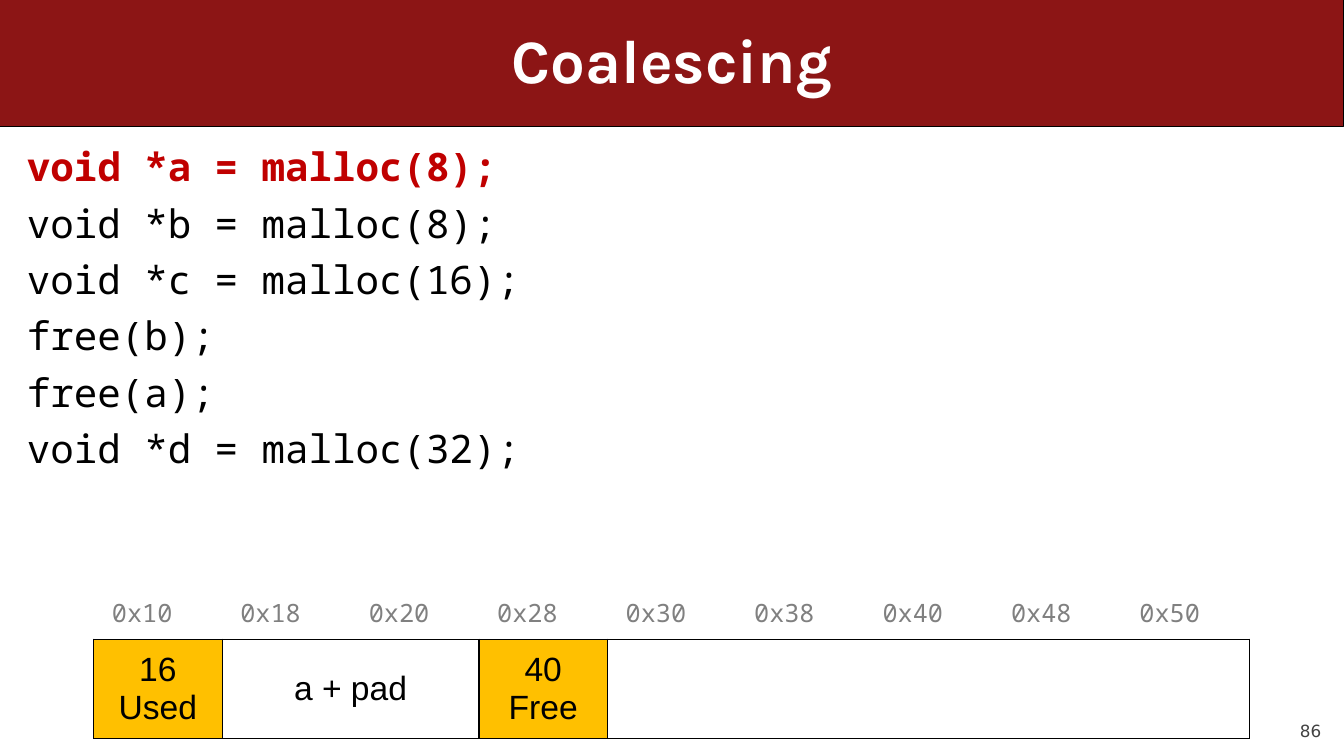
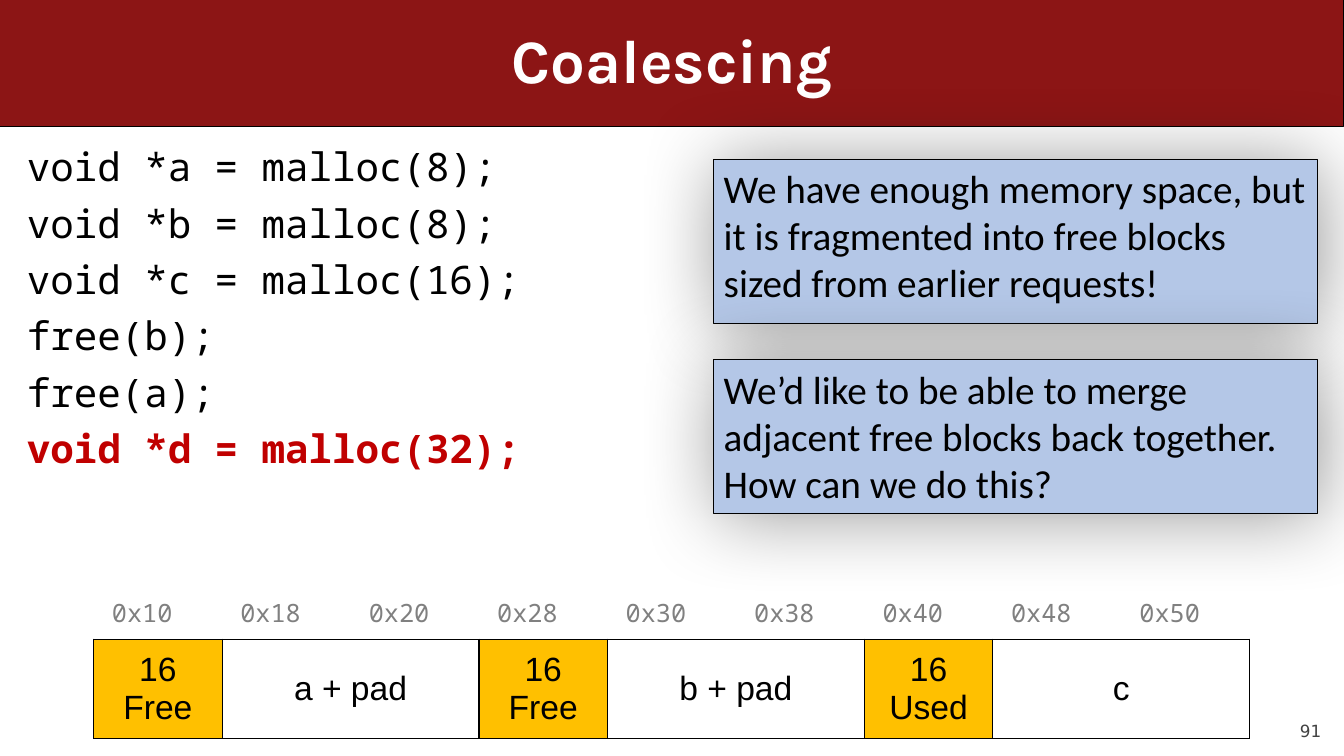
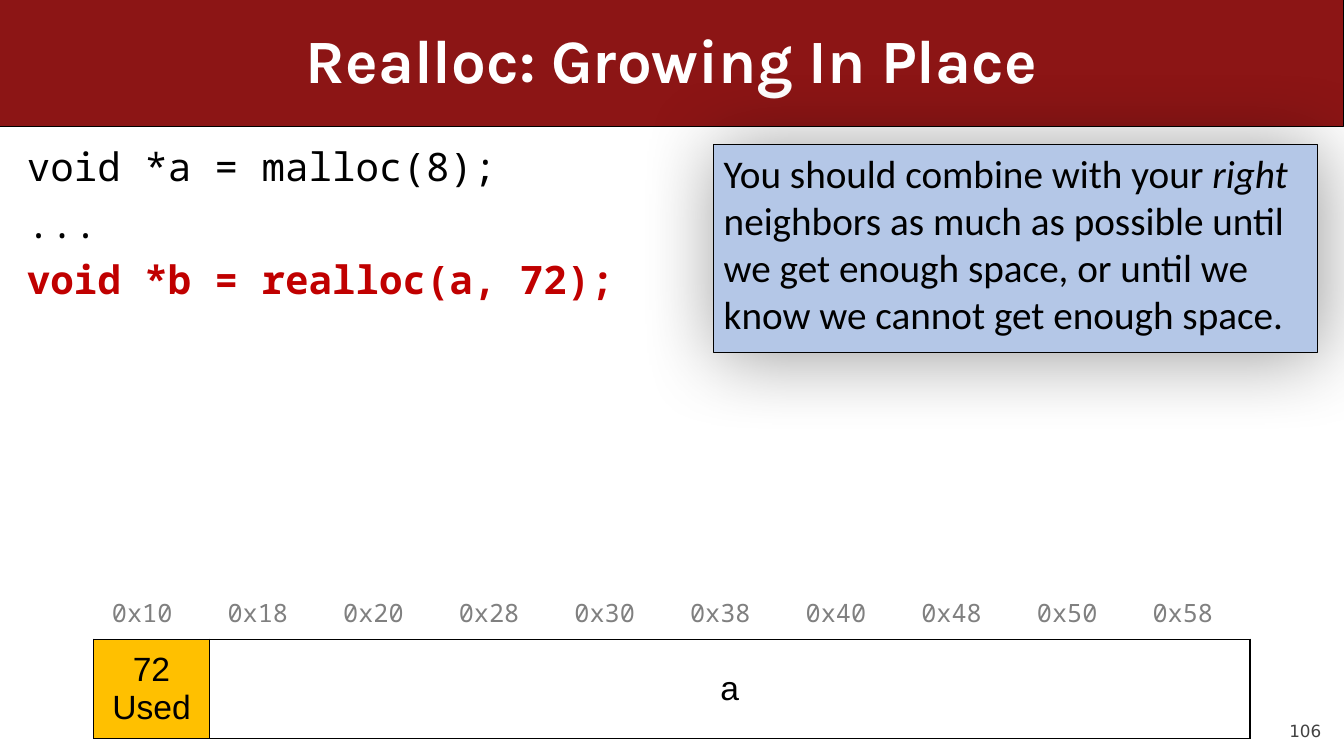
from lxml import etree
from pptx import Presentation
from pptx.dml.color import RGBColor
from pptx.enum.shapes import MSO_SHAPE as Preset
from pptx.enum.text import MSO_ANCHOR as Anchor, PP_ALIGN as Align
from pptx.oxml import parse_xml
from pptx.oxml.ns import nsdecls
from pptx.util import Cm, Pt

COLORS = {
    "band": "8C1515",
    "title": "FFFFFF",
    "ink": "000000",
    "current": "C00000",
    "address": "808080",
    "number": "424242",
    "header": "FFC000",
    "note": "B4C7E7",
}
CODE_FONT = "Noto Sans Mono"
ROW_HEIGHTS = (1.93, 2.36)
HEAP_WIDTH = 29.14


def color(key):
    return RGBColor.from_string(COLORS[key])


def write(frame, lines, font, size, ink, align=Align.LEFT, anchor=Anchor.TOP):
    frame.word_wrap = True
    frame.vertical_anchor = anchor
    for index, line in enumerate(lines):
        paragraph = frame.paragraphs[0] if index == 0 else frame.add_paragraph()
        paragraph.alignment = align
        paragraph.font.name = font
        paragraph.font.size = Pt(size)
        paragraph.font.color.rgb = color(ink)
        for part, words in enumerate(line.split("_")):
            run = paragraph.add_run()
            run.text = words
            if part % 2:
                run.font.italic = True
    return frame.paragraphs


coalescing_code = [
    "void *a = malloc(8);",
    "void *b = malloc(8);",
    "void *c = malloc(16);",
    "free(b);",
    "free(a);",
    "void *d = malloc(32);",
]
lessons = [
    {
        "title": "Coalescing",
        "number": "86",
        "code": coalescing_code,
        "current": 0,
        "words": 9,
        "blocks": [("16 Used", 1), ("a + pad", 2), ("40 Free", 1), ("", 5)],
        "notes": [],
    },
    {
        "title": "Coalescing",
        "number": "91",
        "code": coalescing_code,
        "current": 5,
        "words": 9,
        "blocks": [("16 Free", 1), ("a + pad", 2), ("16 Free", 1),
                   ("b + pad", 2), ("16 Used", 1), ("c", 2)],
        "notes": [
            (4.02, 4.14, ["We have enough memory space, but it is fragmented into "
                          "free blocks sized from earlier requests!"]),
            (9.07, 3.86, ["We’d like to be able to merge adjacent free blocks "
                          "back together.", "How can we do this?"]),
        ],
    },
    {
        "title": "Realloc: Growing In Place",
        "number": "106",
        "code": ["void *a = malloc(8);", "...", "void *b = realloc(a, 72);"],
        "current": 2,
        "words": 10,
        "blocks": [("72 Used", 1), ("a", 9)],
        "notes": [
            (3.63, 5.26, ["You should combine with your _right_ neighbors as much as "
                          "possible until we get enough space, or until we know we "
                          "cannot get enough space."]),
        ],
    },
]

deck = Presentation()
deck.slide_width, deck.slide_height = Cm(33.87), Cm(19.05)

for lesson in lessons:
    slide = deck.slides.add_slide(deck.slide_layouts[6])
    shapes = slide.shapes

    number = shapes.add_textbox(Cm(30.48), Cm(17.65), Cm(2.82), Cm(1.02)).text_frame
    number.margin_left = number.margin_right = number.margin_top = number.margin_bottom = 0
    write(number, [lesson["number"]], "DejaVu Sans", 12, "number", Align.RIGHT, Anchor.BOTTOM)

    band = shapes.add_shape(Preset.ROUNDED_RECTANGLE, 0, 0, deck.slide_width, Cm(3.18))
    band.adjustments[0] = 0
    band.fill.solid()
    band.fill.fore_color.rgb = color("band")
    band.line.color.rgb = color("ink")
    band.line.width = Pt(0.74)
    band.shadow.inherit = False

    title = shapes.add_textbox(Cm(1.27), 0, Cm(31.33), Cm(3.18)).text_frame
    heading = write(title, [lesson["title"]], "Karla", 44, "title", Align.CENTER, Anchor.MIDDLE)[0]
    heading.font.bold = True
    heading.line_spacing = 0.9

    code = shapes.add_textbox(Cm(0.43), Cm(3.6), Cm(32.82), Cm(10.58)).text_frame
    statements = write(code, lesson["code"], CODE_FONT, 28, "ink")
    for statement in statements:
        statement.line_spacing = 0.9
        statement.space_before = Pt(10)
    current = statements[lesson["current"]]
    current.font.bold = True
    current.font.color.rgb = color("current")

    words = lesson["words"]
    heap = shapes.add_table(2, words, Cm(2.36), Cm(14.18), Cm(HEAP_WIDTH),
                            Cm(sum(ROW_HEIGHTS))).table
    heap.first_row = heap.horz_banding = False
    for row, height in zip(heap.rows, ROW_HEIGHTS):
        row.height = Cm(height)
    for column in heap.columns:
        column.width = Cm(HEAP_WIDTH / words)
    for row, sides in enumerate(("B", "LRTB")):
        for word in range(words):
            cell = heap.cell(row, word)
            cell.margin_left = cell.margin_right = Cm(0.46)
            cell.margin_top = cell.margin_bottom = Cm(0.23)
            for side in sides:
                cell._tc.get_or_add_tcPr().append(parse_xml(
                    f'<a:ln{side} {nsdecls("a")} w="12700"><a:solidFill>'
                    f'<a:srgbClr val="{COLORS["ink"]}"/></a:solidFill></a:ln{side}>'))
            cell.fill.background()
    for word in range(words):
        address = heap.cell(0, word)
        write(address.text_frame, [f"0x{16 + 8 * word:x}"], CODE_FONT, 18, "address")
        address.vertical_anchor = Anchor.BOTTOM

    start = 0
    for label, span in lesson["blocks"]:
        block = heap.cell(1, start)
        if span > 1:
            block.merge(heap.cell(1, start + span - 1))
        else:
            block.fill.solid()
            block.fill.fore_color.rgb = color("header")
        lines = label.split() if span == 1 else [label]
        write(block.text_frame, lines, "Arial", 24, "ink", Align.CENTER)
        block.vertical_anchor = Anchor.MIDDLE
        start += span

    for top, height, lines in lesson["notes"]:
        note = shapes.add_shape(Preset.RECTANGLE, Cm(17.99), Cm(top), Cm(15.21), Cm(height))
        note.fill.solid()
        note.fill.fore_color.rgb = color("note")
        note.line.color.rgb = color("ink")
        note.line.width = Pt(0.75)
        note.shadow.inherit = False
        effects = note._element.spPr.find("{*}effectLst")
        effects.append(parse_xml(
            f'<a:outerShdw {nsdecls("a")} blurRad="736600" dist="38100" dir="2700000">'
            f'<a:srgbClr val="{COLORS["ink"]}"><a:alpha val="40000"/></a:srgbClr>'
            '</a:outerShdw>'))
        write(note.text_frame, lines, "Calibri", 28, "ink")

deck.save("out.pptx")
